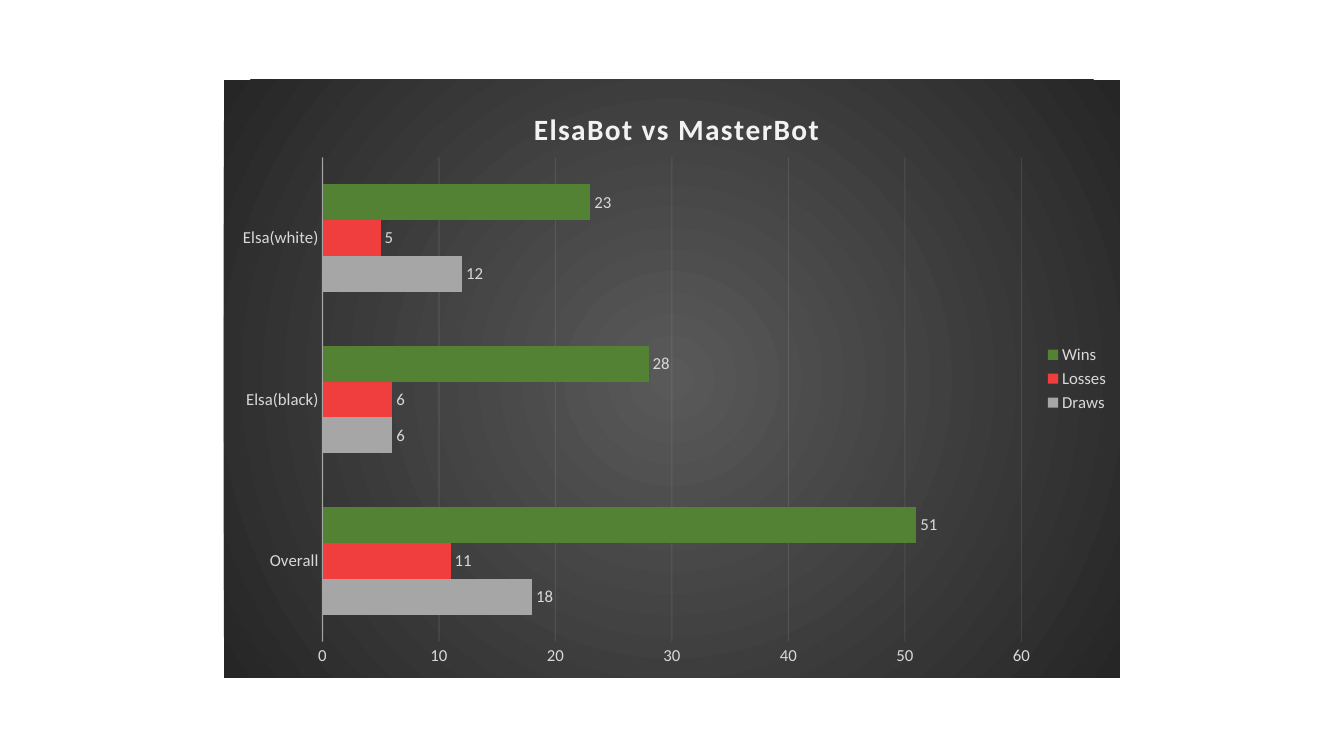
"""Build a slide with a clustered bar chart of ElsaBot's results against MasterBot."""
from lxml.etree import SubElement
from pptx import Presentation
from pptx.chart.data import CategoryChartData
from pptx.dml.color import RGBColor
from pptx.enum.chart import XL_CHART_TYPE, XL_LABEL_POSITION, XL_LEGEND_POSITION, XL_TICK_MARK
from pptx.oxml import parse_xml
from pptx.oxml.ns import nsdecls, qn
from pptx.util import Pt

PALE = RGBColor(0xF2, 0xF2, 0xF2)
TEXT = RGBColor(0xD9, 0xD9, 0xD9)
GREY = RGBColor(0xA6, 0xA6, 0xA6)
RED = RGBColor(0xF0, 0x3E, 0x3E)
GREEN = RGBColor(0x54, 0x82, 0x35)
MID = RGBColor(0x59, 0x59, 0x59)
DARK = RGBColor(0x26, 0x26, 0x26)
FONT = "Calibri"


def style(font, size=12, color=TEXT, bold=False):
    font.name, font.size, font.bold = FONT, Pt(size), bold
    font.color.rgb = color


def rule(line, width, alpha):
    line.width = Pt(width)
    line.color.rgb = PALE
    color = line.fill._xPr.find(".//" + qn("a:srgbClr"))
    SubElement(color, qn("a:alpha")).set("val", str(alpha * 1000))


deck = Presentation()
deck.slide_width, deck.slide_height = Pt(960), Pt(540)
slide = deck.slides.add_slide(deck.slide_layouts[6])

results = [
    ("Draws", (18, 6, 12), GREY),
    ("Losses", (11, 6, 5), RED),
    ("Wins", (51, 28, 23), GREEN),
]
data = CategoryChartData(number_format="General")
data.categories = ["Overall", "Elsa(black)", "Elsa(white)"]
for name, games, color in results:
    data.add_series(name, games)

frame = slide.shapes.add_chart(
    XL_CHART_TYPE.BAR_CLUSTERED, Pt(160), Pt(57), Pt(640), Pt(427), data)
chart = frame.chart
style(chart.font)

chart.has_title = True
title = chart.chart_title
title.include_in_layout = False
title.text_frame.text = "ElsaBot vs MasterBot"
run = title.text_frame.paragraphs[0].runs[0]
style(run.font, 21, PALE, True)
run.font._element.set("spc", "100")

chart.has_legend = True
chart.legend.position = XL_LEGEND_POSITION.RIGHT
chart.legend.include_in_layout = False
style(chart.legend.font)

plot = chart.plots[0]
plot.gap_width, plot.overlap = 150, 0
plot.vary_by_categories = False
for series, (name, games, color) in zip(plot.series, results):
    series.format.fill.solid()
    series.format.fill.fore_color.rgb = color
    labels = series.data_labels
    labels.show_value = True
    labels.position = XL_LABEL_POSITION.OUTSIDE_END
    style(labels.font)

for axis in (chart.category_axis, chart.value_axis):
    axis.major_tick_mark = axis.minor_tick_mark = XL_TICK_MARK.NONE
    style(axis.tick_labels.font)
rule(chart.category_axis.format.line, 1, 54)
scale = chart.value_axis
scale.minimum_scale, scale.maximum_scale, scale.major_unit = 0, 60, 10
scale.format.line.fill.background()
scale.has_major_gridlines = True
rule(scale.major_gridlines.format.line, 0.75, 10)

space = chart._chartSpace
places = [
    (space.chart.find(qn("c:title")), {"x": 0.34, "y": 0.04}),
    (space.chart.plotArea, {"x": 0.11, "y": 0.13, "w": 0.78, "h": 0.81}),
]
for part, spot in places:
    for old in part.findall(qn("c:layout")):
        part.remove(old)
    layout = parse_xml(f"<c:layout {nsdecls('c')}><c:manualLayout/></c:layout>")
    manual = layout[0]
    if "w" in spot:
        SubElement(manual, qn("c:layoutTarget")).set("val", "inner")
    for side in "xy":
        SubElement(manual, qn(f"c:{side}Mode")).set("val", "edge")
    for side, share in spot.items():
        SubElement(manual, qn(f"c:{side}")).set("val", str(share))
    text = part.find(qn("c:tx"))
    if text is None:
        part.insert(0, layout)
    else:
        text.addnext(layout)

space.chart.addnext(parse_xml(
    f'<c:spPr {nsdecls("c", "a")}><a:gradFill><a:gsLst>'
    f'<a:gs pos="0"><a:srgbClr val="{MID}"/></a:gs>'
    f'<a:gs pos="100000"><a:srgbClr val="{DARK}"/></a:gs></a:gsLst>'
    '<a:path path="circle"><a:fillToRect l="50000" t="50000" r="50000" b="50000"/></a:path>'
    '</a:gradFill><a:ln><a:noFill/></a:ln></c:spPr>'))

deck.save("out.pptx")
